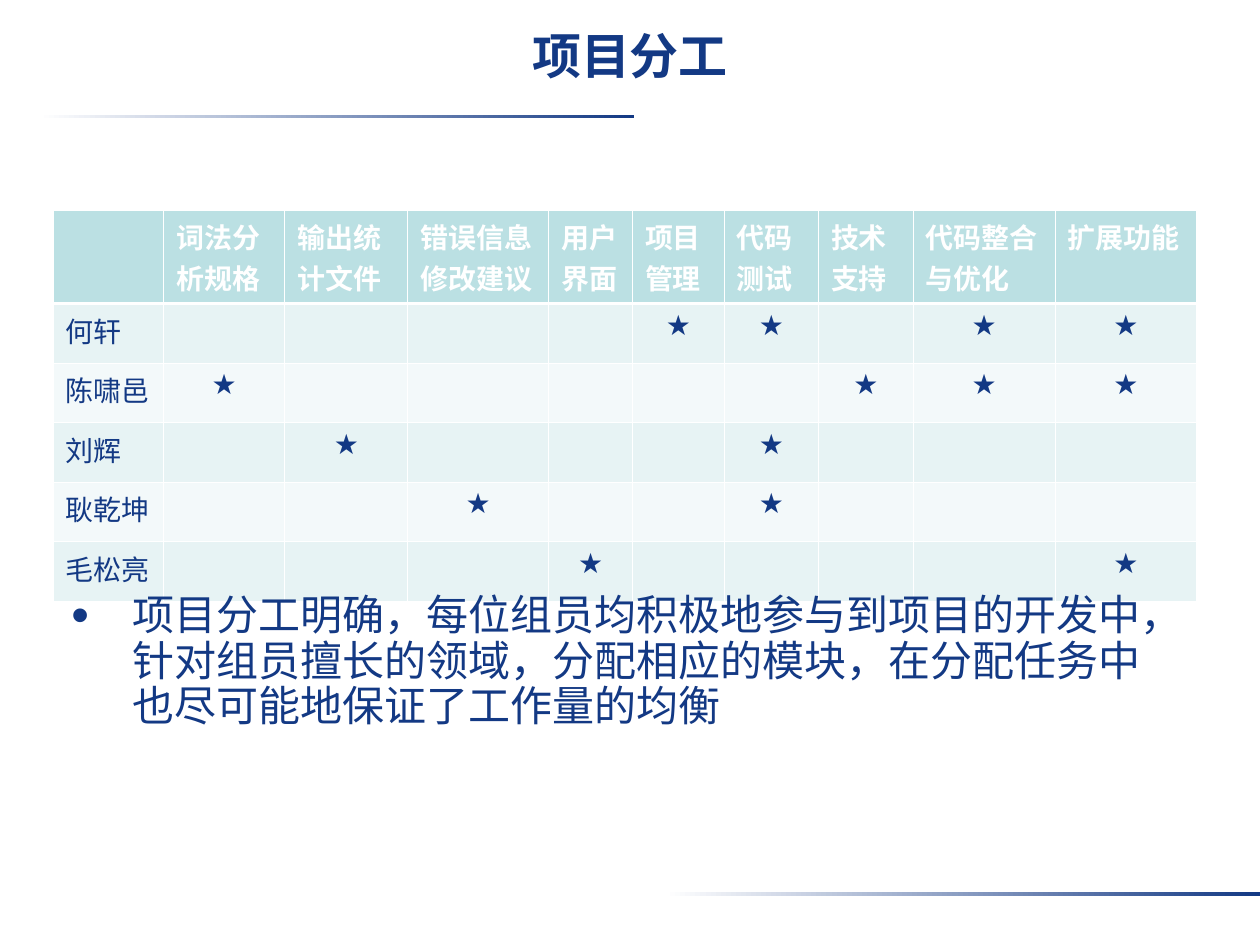
from dataclasses import dataclass

from lxml import etree
from pptx import Presentation
from pptx.dml.color import RGBColor
from pptx.enum.shapes import MSO_SHAPE
from pptx.enum.text import MSO_ANCHOR, PP_ALIGN
from pptx.oxml.ns import qn
from pptx.util import Cm, Pt

RECTANGLE = MSO_SHAPE.RECTANGLE
TOP = MSO_ANCHOR.TOP
LEFT, CENTER = PP_ALIGN.LEFT, PP_ALIGN.CENTER


@dataclass(frozen=True)
class Theme:
    navy: str = "133984"
    white: str = "FFFFFF"
    header: str = "BBE0E3"
    bands: tuple = ("E7F3F4", "F3F9FA")
    latin: str = "Arial"
    chinese: str = "Noto Sans CJK SC"
    title_size: int = 28
    body_size: int = 24
    table_size: int = 16
    border: float = 0.45
    header_border: float = 1.47


THEME = Theme()

TASKS = ["词法分析规格", "输出统计文件", "错误信息修改建议", "用户界面", "项目管理",
         "代码测试", "技术支持", "代码整合与优化", "扩展功能"]
ASSIGNMENTS = {
    "何轩": ["项目管理", "代码测试", "代码整合与优化", "扩展功能"],
    "陈啸邑": ["词法分析规格", "技术支持", "代码整合与优化", "扩展功能"],
    "刘辉": ["输出统计文件", "代码测试"],
    "耿乾坤": ["错误信息修改建议", "代码测试"],
    "毛松亮": ["用户界面", "扩展功能"],
}
COLUMN_WIDTHS = [2.23, 2.44, 2.48, 2.84, 1.69, 1.85, 1.9, 1.91, 2.86, 2.85]
HEADER_HEIGHT, MEMBER_HEIGHT = 1.88, 1.2
SUMMARY = ("项目分工明确，每位组员均积极地参与到项目的开发中，针对组员擅长的领域，"
           "分配相应的模块，在分配任务中也尽可能地保证了工作量的均衡")


def write_text(frame, text, *, size, color=THEME.navy, bold=False, align=LEFT,
               latin=THEME.chinese, east_asian=THEME.chinese):
    frame.word_wrap = True
    paragraph = frame.paragraphs[0]
    paragraph.alignment = align
    run = paragraph.add_run()
    run.text = text
    font = run.font
    font.size, font.bold, font.name = Pt(size), bold, latin
    font.color.rgb = RGBColor.from_string(color)
    etree.SubElement(font._element, qn("a:ea"), typeface=east_asian)
    return paragraph


def add_fading_rule(slide, left, top, width, height):
    rule = slide.shapes.add_shape(RECTANGLE, Cm(left), Cm(top), Cm(width), Cm(height))
    rule.shadow.inherit = False
    rule.line.fill.background()
    rule.fill.gradient()
    rule.fill.gradient_angle = 0
    for stop, color in zip(rule.fill.gradient_stops, (THEME.white, THEME.navy)):
        stop.color.rgb = RGBColor.from_string(color)


def add_title(slide, left, top, width, height):
    frame = slide.shapes.add_textbox(Cm(left), Cm(top), Cm(width), Cm(height)).text_frame
    frame.vertical_anchor = TOP
    frame.margin_top = 0
    write_text(frame, "项目分工", size=THEME.title_size, bold=True, align=CENTER,
               latin=THEME.latin)


def style_cell(cell, fill, top_border, bottom_border):
    cell.fill.solid()
    cell.fill.fore_color.rgb = RGBColor.from_string(fill)
    properties = cell._tc.get_or_add_tcPr()
    borders = {"lnL": THEME.border, "lnR": THEME.border,
               "lnT": top_border, "lnB": bottom_border}
    for position, (side, width) in enumerate(borders.items()):
        line = etree.Element(qn(f"a:{side}"), w=str(Pt(width)))
        solid = etree.SubElement(line, qn("a:solidFill"))
        etree.SubElement(solid, qn("a:srgbClr"), val=THEME.white)
        properties.insert(position, line)


def add_assignment_table(slide, left, top):
    """Members by row and tasks by column, with a star for each assignment."""
    heights = [HEADER_HEIGHT] + [MEMBER_HEIGHT] * len(ASSIGNMENTS)
    table = slide.shapes.add_table(
        len(heights), len(COLUMN_WIDTHS), Cm(left), Cm(top),
        Cm(sum(COLUMN_WIDTHS)), Cm(sum(heights))).table
    for column, width in zip(table.columns, COLUMN_WIDTHS):
        column.width = Cm(width)
    for row, height in zip(table.rows, heights):
        row.height = Cm(height)

    for index, row in enumerate(table.rows):
        fill = THEME.bands[(index - 1) % 2] if index else THEME.header
        top_border = THEME.header_border if index == 1 else THEME.border
        bottom_border = THEME.header_border if index == 0 else THEME.border
        for cell in row.cells:
            style_cell(cell, fill, top_border, bottom_border)

    size = THEME.table_size
    for column, task in enumerate(TASKS, 1):
        write_text(table.cell(0, column).text_frame, task, size=size,
                   color=THEME.white, bold=True)
    for row, (member, tasks) in enumerate(ASSIGNMENTS.items(), 1):
        write_text(table.cell(row, 0).text_frame, member, size=size)
        for task in tasks:
            star_cell = table.cell(row, TASKS.index(task) + 1)
            write_text(star_cell.text_frame, "★", size=size, align=CENTER,
                       latin=THEME.latin, east_asian=THEME.latin)


def add_summary(slide, left, top, width, height):
    frame = slide.shapes.add_textbox(Cm(left), Cm(top), Cm(width), Cm(height)).text_frame
    paragraph = write_text(frame, SUMMARY, size=THEME.body_size)
    paragraph.line_spacing = 0.9
    paragraph.space_before = Pt(6)
    properties = paragraph._p.get_or_add_pPr()
    indent = Cm(1.24)
    properties.set("marL", str(indent))
    properties.set("indent", str(-indent))
    bullet_color = etree.SubElement(properties, qn("a:buClr"))
    etree.SubElement(bullet_color, qn("a:srgbClr"), val=THEME.navy)
    etree.SubElement(properties, qn("a:buSzPct"), val="120000")
    etree.SubElement(properties, qn("a:buFont"), typeface=THEME.latin)
    etree.SubElement(properties, qn("a:buChar"), char="•")


def main():
    presentation = Presentation()
    presentation.slide_width, presentation.slide_height = Cm(25.4), Cm(19.05)
    slide = presentation.slides.add_slide(presentation.slide_layouts[6])
    add_fading_rule(slide, 0.79, 2.31, 11.99, 0.08)
    add_fading_rule(slide, 13.41, 17.98, 11.99, 0.08)
    add_title(slide, 0, 0.51, 25.4, 1.9)
    add_assignment_table(slide, 1.07, 4.24)
    add_summary(slide, 1.19, 11.86, 22.86, 4.65)
    presentation.save("out.pptx")


if __name__ == "__main__":
    main()
